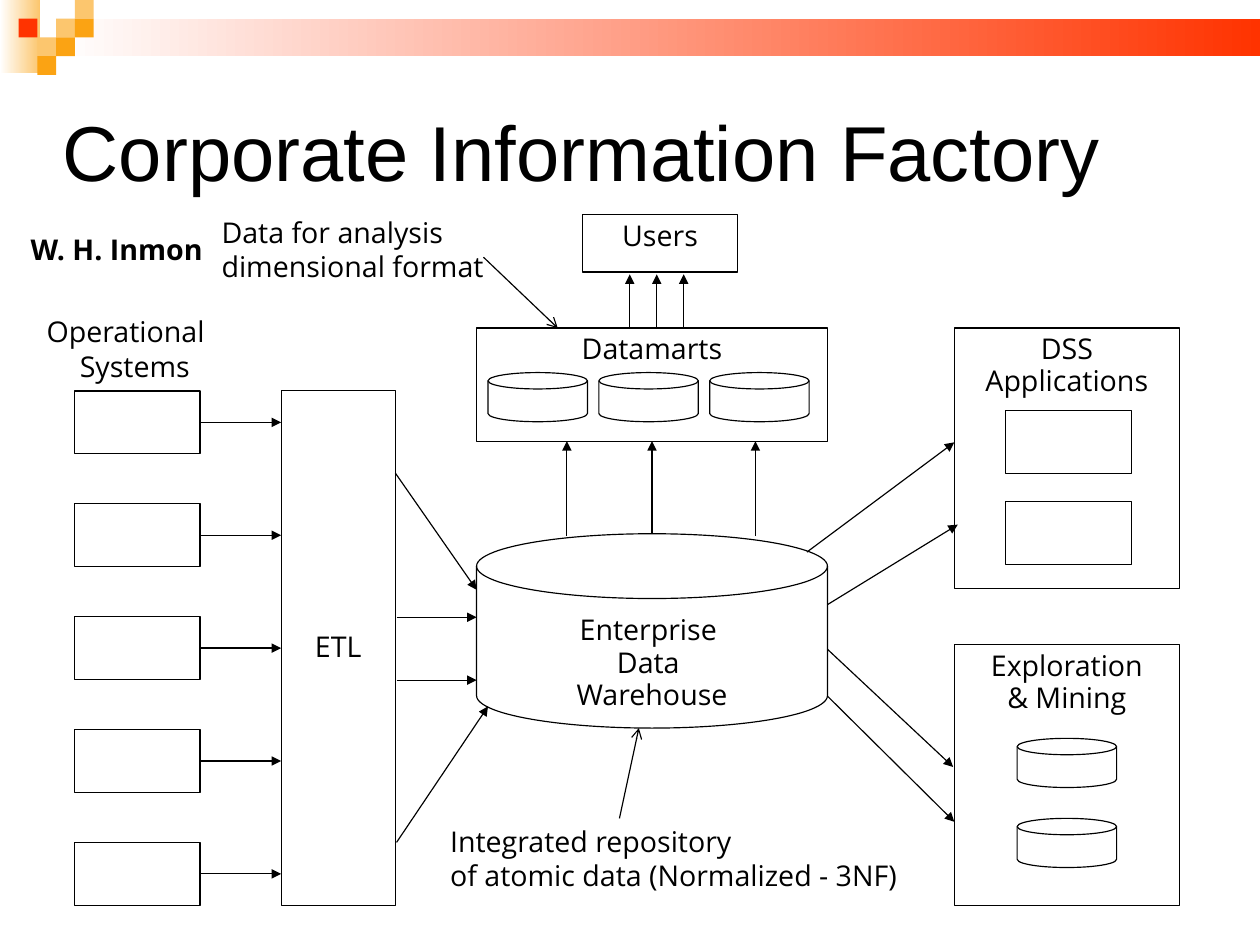
from typing import NamedTuple

from lxml import etree
from pptx import Presentation
from pptx.dml.color import RGBColor
from pptx.enum import shapes, text
from pptx.oxml import ns
from pptx.util import Pt

BLACK = RGBColor(0x00, 0x00, 0x00)
WHITE = RGBColor(0xFF, 0xFF, 0xFF)
RED = RGBColor(0xFF, 0x33, 0x00)
ORANGE = RGBColor(0xFB, 0xA3, 0x13)
PEACH = RGBColor(0xFC, 0xC6, 0x6E)

RECT = shapes.MSO_SHAPE.RECTANGLE
DISK = shapes.MSO_SHAPE.FLOWCHART_MAGNETIC_DISK
LEFT, CENTER = text.PP_ALIGN.LEFT, text.PP_ALIGN.CENTER
TOP, MIDDLE = text.MSO_ANCHOR.TOP, text.MSO_ANCHOR.MIDDLE
SIDE_LEFT, SIDE_BOTTOM, SIDE_RIGHT = 1, 2, 3


class Box(NamedTuple):
    x: float
    y: float
    w: float
    h: float


class Arrow(NamedTuple):
    x1: float
    y1: float
    x2: float
    y2: float
    head: str = "triangle"


def write(tf, content: str, *, font="Open Sans", size=18, bold=False, aligns=(LEFT,),
          spacing=None, anchor=TOP, insets=(7.2, 3.6, 7.2, 3.6)) -> None:
    """Fill a text frame; the last alignment holds for all further paragraphs."""
    tf.word_wrap = True
    tf.vertical_anchor = anchor
    tf.margin_left, tf.margin_top, tf.margin_right, tf.margin_bottom = map(Pt, insets)
    for i, line in enumerate(content.split("\n")):
        p = tf.add_paragraph() if i else tf.paragraphs[0]
        p.text = line
        p.alignment = aligns[min(i, len(aligns) - 1)]
        p.line_spacing = spacing
        for r in p.runs:
            r.font.name, r.font.size, r.font.bold = font, Pt(size), bold
            r.font.color.rgb = BLACK


def add_label(s, box: Box, content: str, **fmt) -> None:
    write(s.shapes.add_textbox(*map(Pt, box)).text_frame, content, **fmt)


def add_outline(s, box: Box, content: str = "", kind=RECT, **fmt):
    sp = s.shapes.add_shape(kind, *map(Pt, box))
    sp.shadow.inherit = False
    sp.fill.background()
    sp.line.color.rgb = BLACK
    sp.line.width = Pt(0.75)
    if content:
        write(sp.text_frame, content, aligns=(CENTER,), spacing=0.94, **fmt)
    return sp


def add_block(s, box: Box, color: RGBColor, fade: bool = False) -> None:
    sp = s.shapes.add_shape(RECT, *map(Pt, box))
    sp.shadow.inherit = False
    sp.line.fill.background()
    if fade:
        sp.fill.gradient()
        sp.fill.gradient_angle = 180
        for stop, shade in zip(sp.fill.gradient_stops, (color, WHITE)):
            stop.color.rgb = shade
            stop.position = float(shade == WHITE)
    else:
        sp.fill.solid()
        sp.fill.fore_color.rgb = color


def add_arrow(s, arrow: Arrow):
    c = s.shapes.add_connector(shapes.MSO_CONNECTOR.STRAIGHT, *map(Pt, arrow[:4]))
    c.line.color.rgb = BLACK
    c.line.width = Pt(0.75)
    etree.SubElement(c.line._get_or_add_ln(), ns.qn("a:tailEnd"), type=arrow.head)
    etree.SubElement(c._element.spPr, ns.qn("a:effectLst"))
    return c


def main() -> None:
    prs = Presentation()
    prs.slide_width, prs.slide_height = Pt(793.75), Pt(595.25)
    s = prs.slides.add_slide(prs.slide_layouts[6])

    # Header band and mosaic
    add_block(s, Box(0, 0, 25.2, 46.08), PEACH, fade=True)
    add_block(s, Box(35.75, 11.75, 758, 23.5), RED, fade=True)
    tile = 11.8
    for col, row, color in ((3, 1, PEACH), (4, 0, PEACH), (4, 1, ORANGE), (2, 2, PEACH),
                            (1, 1, RED), (3, 2, ORANGE), (2, 3, ORANGE)):
        add_block(s, Box(col * tile, row * tile, tile, tile), color)

    # Title and captions
    add_label(s, Box(39.6, 39.6, 714.24, 118.8), "Corporate Information Factory",
              font="Arial", size=49, spacing=0.87, anchor=MIDDLE, insets=(0, 0, 0, 0))
    add_label(s, Box(12.24, 142.56, 130.32, 50.4), "W. H. Inmon", bold=True)
    add_label(s, Box(22.32, 194.4, 125.28, 50.4), "Operational\nSystems",
              aligns=(LEFT, CENTER))
    add_label(s, Box(132.48, 131.76, 189.36, 50.4), "Data for analysis\vdimensional format")
    add_label(s, Box(276.48, 515.52, 320.4, 50.4),
              "Integrated repository\vof atomic data (Normalized - 3NF)")

    # Main parts
    etl = add_outline(s, Box(177.12, 246.24, 72, 324), "ETL", anchor=MIDDLE)
    add_outline(s, Box(300.24, 336.24, 221.04, 122.4), "Enterprise \nData \nWarehouse",
                kind=DISK, anchor=MIDDLE, insets=(7.2, 20.4, 7.2, 0))
    datamarts = add_outline(s, Box(300.24, 206.64, 221.04, 71.28), "Datamarts")
    add_outline(s, Box(367.2, 135.36, 97.2, 36), "Users")
    add_outline(s, Box(601.2, 206.64, 141.84, 164.16), "DSS\nApplications")
    add_outline(s, Box(601.2, 406.08, 141.84, 164.16), "Exploration\n& Mining")

    # Small stores and applications
    stores = [(307.44 + 69.84 * i, 234.72) for i in range(3)]
    stores += [(640.8, 465.12 + 50.4 * i) for i in range(2)]
    for x, y in stores:
        add_outline(s, Box(x, y, 62.64, 30.96), kind=DISK)
    for i in range(2):
        add_outline(s, Box(633.6, 258.48 + 57.6 * i, 79.2, 39.6))

    # Operational systems feeding ETL
    for i in range(5):
        y = 246.24 + 71.1 * i
        system = add_outline(s, Box(46.8, y, 79.2, 39.6))
        feed = add_arrow(s, Arrow(126, y + 19.8, 177.12, y + 19.8))
        feed.begin_connect(system, SIDE_RIGHT)
        if i == 2:
            feed.end_connect(etl, SIDE_LEFT)

    # Warehouse to datamarts, datamarts to users
    for x, y in ((357.12, 337.68), (410.76, 336.24), (475.92, 337.68)):
        load = add_arrow(s, Arrow(x, y, x, 277.92))
        if x == 410.76:
            load.end_connect(datamarts, SIDE_BOTTOM)
    for i in range(3):
        x = 396.72 + 17 * i
        add_arrow(s, Arrow(x, 206.64, x, 172.8))

    # Remaining flows and caption pointers
    for arrow in (
        Arrow(249.12, 298.08, 300.24, 371.52),
        Arrow(249.84, 388.8, 300.24, 388.8),
        Arrow(249.84, 428.4, 300.24, 428.4),
        Arrow(249.84, 530.64, 307.44, 444.96),
        Arrow(508.32, 347.76, 601.2, 278.64),
        Arrow(521.28, 380.88, 603.36, 330.48),
        Arrow(521.28, 408.96, 600.48, 483.12),
        Arrow(521.28, 438.48, 601.2, 517.68),
        Arrow(390.24, 515.52, 402.48, 458.64, "arrow"),
        Arrow(304.56, 162, 351.36, 206.64, "arrow"),
    ):
        add_arrow(s, arrow)

    prs.save("out.pptx")


if __name__ == "__main__":
    main()
